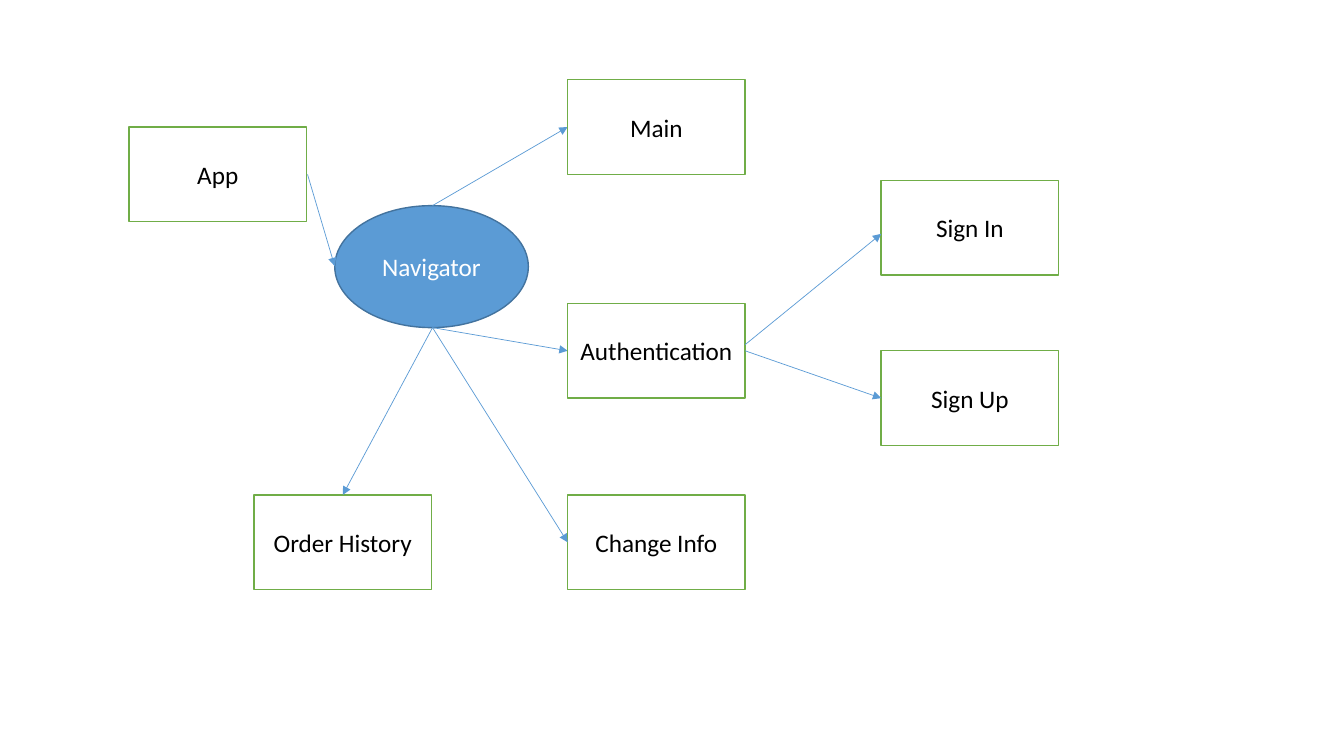
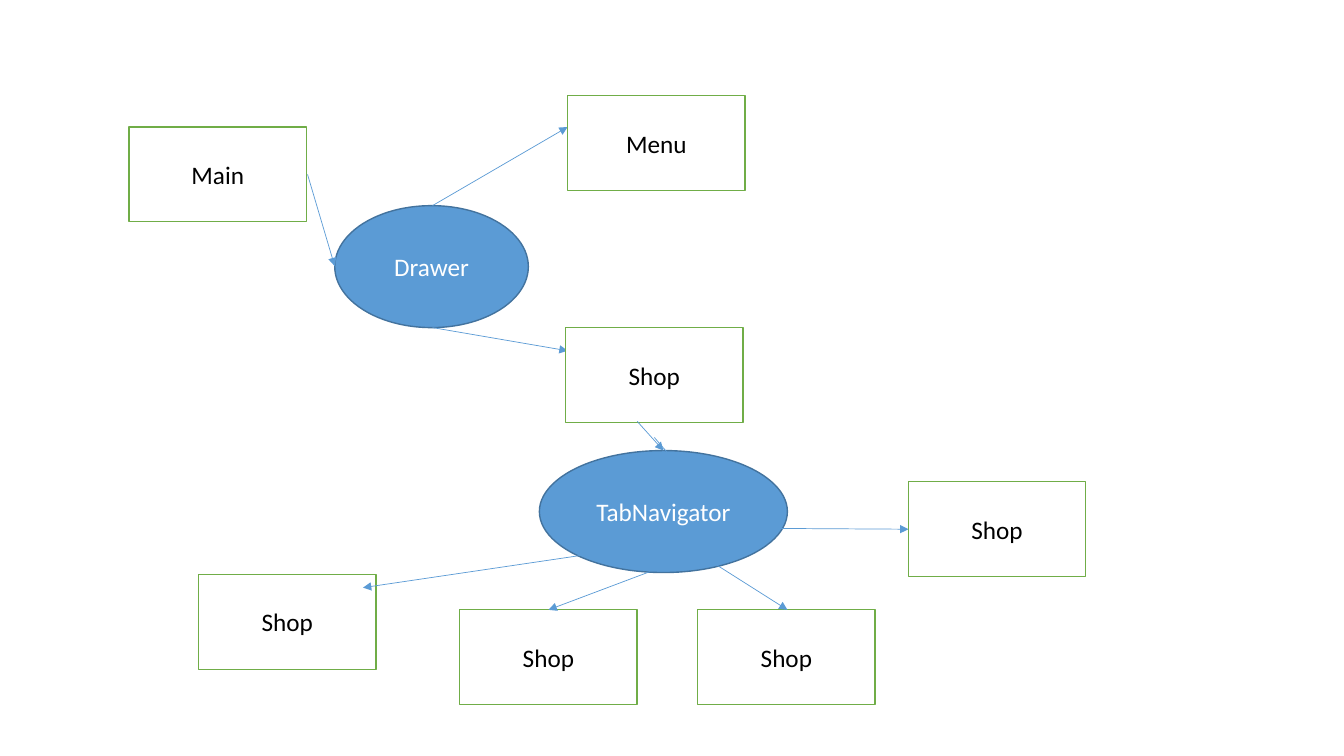
import pptx
import pptx.util
import pptx.dml.color
import pptx.enum.shapes
import pptx.enum.text
import pptx.oxml.ns
import lxml.etree
from dataclasses import dataclass

Inches = pptx.util.Inches
Pt = pptx.util.Pt
RGB = pptx.dml.color.RGBColor.from_string
SHAPE = pptx.enum.shapes.MSO_SHAPE
qn = pptx.oxml.ns.qn


@dataclass(frozen=True)
class Theme:
    font: str = "Calibri"
    size: float = 18
    white: str = "FFFFFF"
    black: str = "000000"
    green: str = "70AD47"
    blue: str = "5B9BD5"
    dark_blue: str = "43739E"
    outline: float = 1
    arrow: float = 0.5


theme = Theme()
BOX = dict(kind=SHAPE.RECTANGLE, width=1.76, height=0.94,
           fill=theme.white, line=theme.green, color=theme.black)
OVAL = dict(kind=SHAPE.OVAL, width=1.92, height=1.21,
            fill=theme.blue, line=theme.dark_blue, color=theme.white)


def add_node(s, text, left, top, *, kind, width, height, fill, line, color):
    sp = s.shapes.add_shape(kind, Inches(left), Inches(top), Inches(width), Inches(height))
    sp.shadow.inherit = False
    sp.fill.solid()
    sp.fill.fore_color.rgb = RGB(fill)
    sp.line.color.rgb = RGB(line)
    sp.line.width = Pt(theme.outline)
    tf = sp.text_frame
    tf.word_wrap = True
    tf.vertical_anchor = pptx.enum.text.MSO_ANCHOR.MIDDLE
    p = tf.paragraphs[0]
    p.alignment = pptx.enum.text.PP_ALIGN.CENTER
    r = p.add_run()
    r.text = text
    r.font.name = theme.font
    r.font.size = Pt(theme.size)
    r.font.color.rgb = RGB(color)


def add_arrow(s, x1, y1, x2, y2):
    cx = s.shapes.add_connector(pptx.enum.shapes.MSO_CONNECTOR.STRAIGHT,
                                Inches(x1), Inches(y1), Inches(x2), Inches(y2))
    cx.line.color.rgb = RGB(theme.blue)
    cx.line.width = Pt(theme.arrow)
    lxml.etree.SubElement(cx.line._get_or_add_ln(), qn("a:tailEnd"), type="triangle")
    lxml.etree.SubElement(cx._element.spPr, qn("a:effectLst"))


prs = pptx.Presentation()
prs.slide_width, prs.slide_height = Inches(13.33), Inches(7.5)

# Shared opening: a start box, its navigator and the first three arrows
opening_arrows = [(3.05, 1.73, 3.32, 2.64), (4.29, 2.04, 5.63, 1.26), (4.29, 3.25, 5.63, 3.48)]

# Each diagram: start, navigator, further ovals, boxes, further arrows
diagrams = [
    # App navigation
    ("App", "Navigator", [],
     [("Main", 5.63, 0.79), ("Authentication", 5.63, 3.01),
      ("Change Info", 5.63, 4.91), ("Order History", 2.52, 4.91),
      ("Sign In", 8.74, 1.79), ("Sign Up", 8.74, 3.48)],
     [(4.29, 3.25, 5.63, 5.38), (4.29, 3.25, 3.4, 4.91),
      (7.39, 3.42, 8.74, 2.32), (7.39, 3.48, 8.74, 3.95)]),
    # Drawer and tabs
    ("Main", "Drawer", [("TabNavigator", 5.35, 4.47, 2.46)],
     [("Shop", 5.61, 3.25), ("Menu", 5.63, 0.95), ("Shop", 1.97, 5.7),
      ("Shop", 4.56, 6.05), ("Shop", 6.92, 6.05), ("Shop", 9.01, 4.78)],
     [(6.32, 4.18, 6.58, 4.47), (7.25, 5.24, 9.01, 5.25), (6.49, 4.34, 6.74, 4.63),
      (7.1, 5.6, 7.81, 6.05), (6.45, 5.67, 5.44, 6.05), (5.9, 5.49, 3.6, 5.83)]),
]

for start, navigator, ovals, boxes, arrows in diagrams:
    s = prs.slides.add_slide(prs.slide_layouts[6])
    add_node(s, start, 1.28, 1.26, **BOX)
    add_node(s, navigator, 3.32, 2.04, **OVAL)
    for ends in opening_arrows:
        add_arrow(s, *ends)
    for text, left, top in boxes:
        add_node(s, text, left, top, **BOX)
    for text, left, top, width in ovals:
        add_node(s, text, left, top, **{**OVAL, "width": width})
    for ends in arrows:
        add_arrow(s, *ends)

prs.save("out.pptx")
